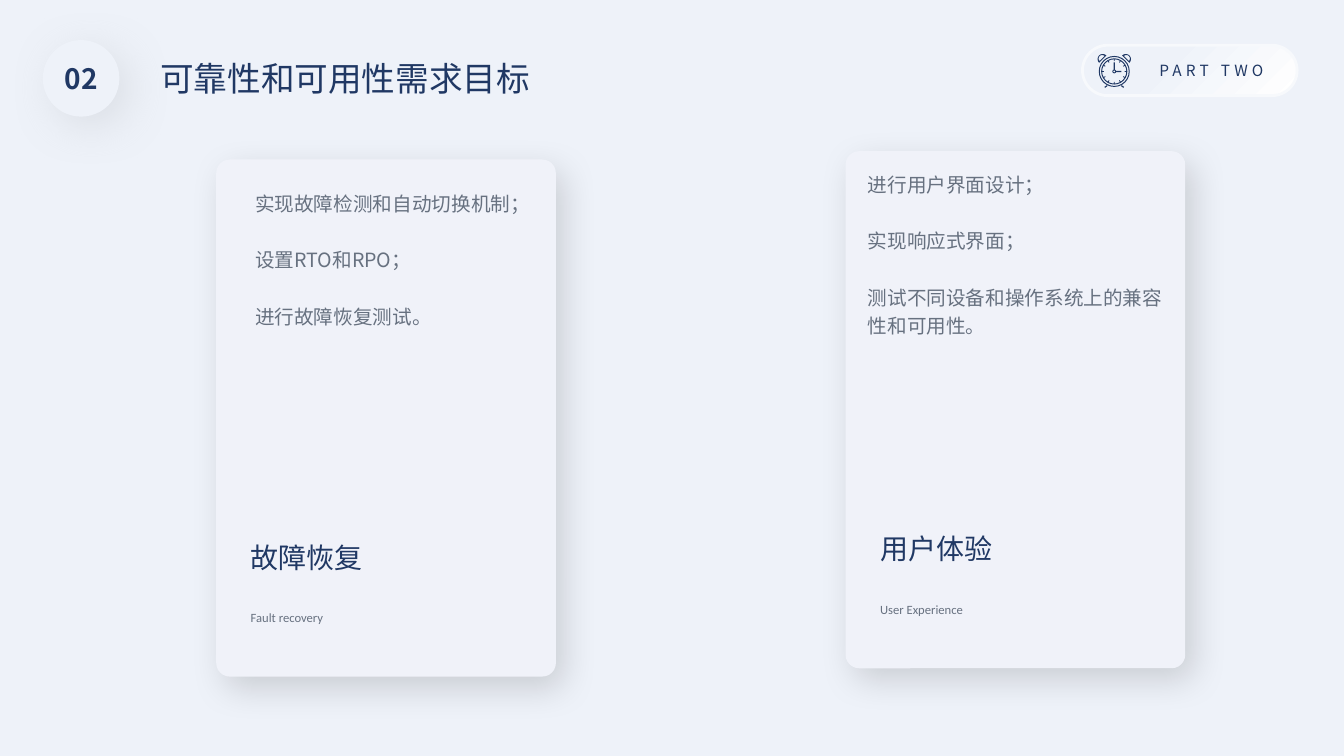
from math import cos, hypot, pi, sin

from lxml import etree
from pptx import Presentation
from pptx.dml.color import RGBColor
from pptx.enum.shapes import MSO_SHAPE
from pptx.enum.text import PP_ALIGN
from pptx.oxml.ns import qn
from pptx.util import Cm, Pt

OVAL = MSO_SHAPE.OVAL
RECT = MSO_SHAPE.RECTANGLE
ROUND = MSO_SHAPE.ROUNDED_RECTANGLE
LEFT, CENTER = PP_ALIGN.LEFT, PP_ALIGN.CENTER
CJK = "Noto Sans CJK SC"
SLIDE_W, SLIDE_H = 33.87, 19.05
COLORS = {
    "base": "EBECEE",
    "back": "EEF2F9",
    "card": "F0F2F9",
    "edge": "F7F9FC",
    "white": "FFFFFF",
    "navy": "203864",
    "gray": "677180",
    "black": "000000",
    "mist": "CACED4",
}
CARD_W, CARD_H = 8.56, 13.03
CARDS = [
    dict(x=5.45, y=4.02, heading="故障恢复", caption="Fault recovery",
         body=(6.18, 4.58, 7.06, 3.78),
         lines=["实现故障检测和自动切换机制；", "设置RTO和RPO；", "进行故障恢复测试。"]),
    dict(x=21.31, y=3.81, heading="用户体验", caption="User Experience",
         body=(21.62, 4.1, 8.0, 4.5),
         lines=["进行用户界面设计；", "实现响应式界面；",
                "测试不同设备和操作系统上的兼容性和可用性。"]),
]


def rgb(name):
    """Return the palette colour of that name."""
    return RGBColor.from_string(COLORS[name])


def add_shadow(s, color, alpha, blur, angle):
    """Give a shape a soft outer shadow."""
    effects = s._element.spPr.find(qn("a:effectLst"))
    shadow = etree.SubElement(effects, qn("a:outerShdw"), blurRad=str(Pt(blur)),
                              dist=str(Pt(10)), dir=str(angle * 60000),
                              algn="tl", rotWithShape="0")
    clr = etree.SubElement(shadow, qn("a:srgbClr"), val=COLORS[color])
    etree.SubElement(clr, qn("a:alpha"), val=str(alpha * 1000))


def style(s, fill, line=None, width=1):
    """Set the fill and line of a shape, without a shadow."""
    s.shadow.inherit = False
    s.fill.solid()
    s.fill.fore_color.rgb = rgb(fill)
    if line:
        s.line.color.rgb = rgb(line)
        s.line.width = Pt(width)
    else:
        s.line.fill.background()
    return s


def add_shape(sp, kind, x, y, w, h, **look):
    """Add a styled preset shape."""
    return style(sp.add_shape(kind, Cm(x), Cm(y), Cm(w), Cm(h)), **look)


def add_text(sp, text, x, y, w, h, size=14, color="navy", font=CJK, bold=False,
             align=LEFT, spacing=1.0, gap=0, inset=0.25, inset_y=0.13, tracking=0):
    """Add a text box with one paragraph for each line of text."""
    tf = sp.add_textbox(Cm(x), Cm(y), Cm(w), Cm(h)).text_frame
    tf.word_wrap = True
    tf.margin_left = tf.margin_right = Cm(inset)
    tf.margin_top = tf.margin_bottom = Cm(inset_y)
    for i, line in enumerate(text.split("\n")):
        p = tf.paragraphs[0] if i == 0 else tf.add_paragraph()
        p.alignment = align
        p.line_spacing = spacing
        if i:
            p.space_before = Pt(gap)
        r = p.add_run()
        r.text = line
        r.font.size = Pt(size)
        r.font.bold = bold
        r.font.color.rgb = rgb(color)
        r.font.name = font
        props = r._r.get_or_add_rPr()
        etree.SubElement(props, qn("a:ea"), typeface=font)
        if tracking:
            props.set("spc", str(tracking * 100))


def arc(cx, cy, radius, start=0, sweep=2 * pi, steps=24):
    """Return points along an arc."""
    angles = [start + sweep * i / steps for i in range(steps + 1)]
    return [(cx + radius * cos(a), cy + radius * sin(a)) for a in angles]


def bar(x1, y1, x2, y2, width=0.03):
    """Return the corners of a thin bar between two points."""
    scale = width / 2 / hypot(x2 - x1, y2 - y1)
    dx, dy = (y1 - y2) * scale, (x2 - x1) * scale
    return [(x1 + dx, y1 + dy), (x2 + dx, y2 + dy), (x2 - dx, y2 - dy), (x1 - dx, y1 - dy)]


def add_clock(sp, cx, cy):
    """Draw the alarm clock as one outline around its centre."""
    contours = [arc(0, 0, radius) for radius in (0.39, 0.365, 0.33, 0.305)]
    contours += [arc(0, 0, radius, steps=8) for radius in (0.05, 0.025)]
    contours += [bar(0, -0.05, 0, -0.23), bar(0.05, 0, 0.18, 0)]
    for hour in range(12):
        dx, dy = cos(hour * pi / 6), sin(hour * pi / 6)
        contours.append(bar(0.26 * dx, 0.26 * dy, 0.3 * dx, 0.3 * dy, 0.02))
    for side, start in ((-1, 0.75 * pi), (1, -0.75 * pi)):
        sweep = pi if side > 0 else pi
        contours += [
            arc(side * 0.29, -0.31, 0.13, start, sweep, 10),
            arc(side * 0.305, -0.325, 0.09, start, sweep, 10),
            bar(side * 0.18, 0.36, side * 0.24, 0.4),
        ]
    first = contours[0][0]
    clock = sp.build_freeform(Cm(cx + first[0]), Cm(cy + first[1]))
    for contour in contours:
        points = [(Cm(cx + x), Cm(cy + y)) for x, y in contour]
        if contour is not contours[0]:
            clock.move_to(*points[0])
        clock.add_line_segments(points[1:], close=True)
    style(clock.convert_to_shape(), fill="navy")


def add_part_badge(sp):
    """Add the pill that names the part."""
    pill = add_shape(sp, ROUND, 27.28, 1.14, 5.41, 1.27, fill="back", line="edge", width=2)
    pill.adjustments[0] = 0.5
    pill.fill.gradient()
    pill.fill.gradient_angle = 315
    for stop, place, color in zip(pill.fill.gradient_stops, (0.35, 1), ("back", "white")):
        stop.position = place
        stop.color.rgb = rgb(color)
    add_clock(sp, 28.08, 1.8)
    add_text(sp, "PART TWO", 28.51, 1.42, 4.04, 0.74, size=11, align=CENTER,
             spacing=Pt(12.9), tracking=3)


def add_header(sp):
    """Add the section number and the title."""
    disc = add_shape(sp, OVAL, 1.08, 1.01, 1.93, 1.93, fill="back")
    add_shadow(disc, "mist", 50, 30, 45)
    add_text(sp, "02", 1.08, 1.42, 1.93, 1.12, size=20, bold=True, align=CENTER,
             spacing=Pt(23.8), inset=0)
    add_text(sp, "可靠性和可用性需求目标", 3.79, 1.35, 10.19, 1.27, size=24,
             spacing=Pt(28.5))


def add_card(sp, x, y, heading, caption, body, lines):
    """Add a card with its points, heading and caption."""
    card = add_shape(sp, ROUND, x, y, CARD_W, CARD_H, fill="card")
    card.adjustments[0] = 0.04
    add_shadow(card, "black", 15, 25, 55)
    add_text(sp, heading, x + 0.87, y + 9.42, 4.93, 0.94, size=20, spacing=Pt(29),
             inset=0, inset_y=0)
    add_text(sp, caption, x + 0.87, y + 11.16, 4.93, 1.1, size=9, color="gray",
             font="Calibri", spacing=1.5, inset=0, inset_y=0)
    add_text(sp, "\n".join(lines), *body, color="gray", spacing=Pt(20.2), gap=20.2)


def main():
    """Build the slide and save it."""
    prs = Presentation()
    prs.slide_width, prs.slide_height = Cm(SLIDE_W), Cm(SLIDE_H)
    slide = prs.slides.add_slide(prs.slide_layouts[6])
    slide.background.fill.solid()
    slide.background.fill.fore_color.rgb = rgb("base")
    add_shape(slide.shapes, RECT, 0, 0, SLIDE_W, SLIDE_H, fill="back")
    add_part_badge(slide.shapes)
    add_header(slide.shapes)
    for card in CARDS:
        add_card(slide.shapes, **card)
    prs.save("out.pptx")


if __name__ == "__main__":
    main()
